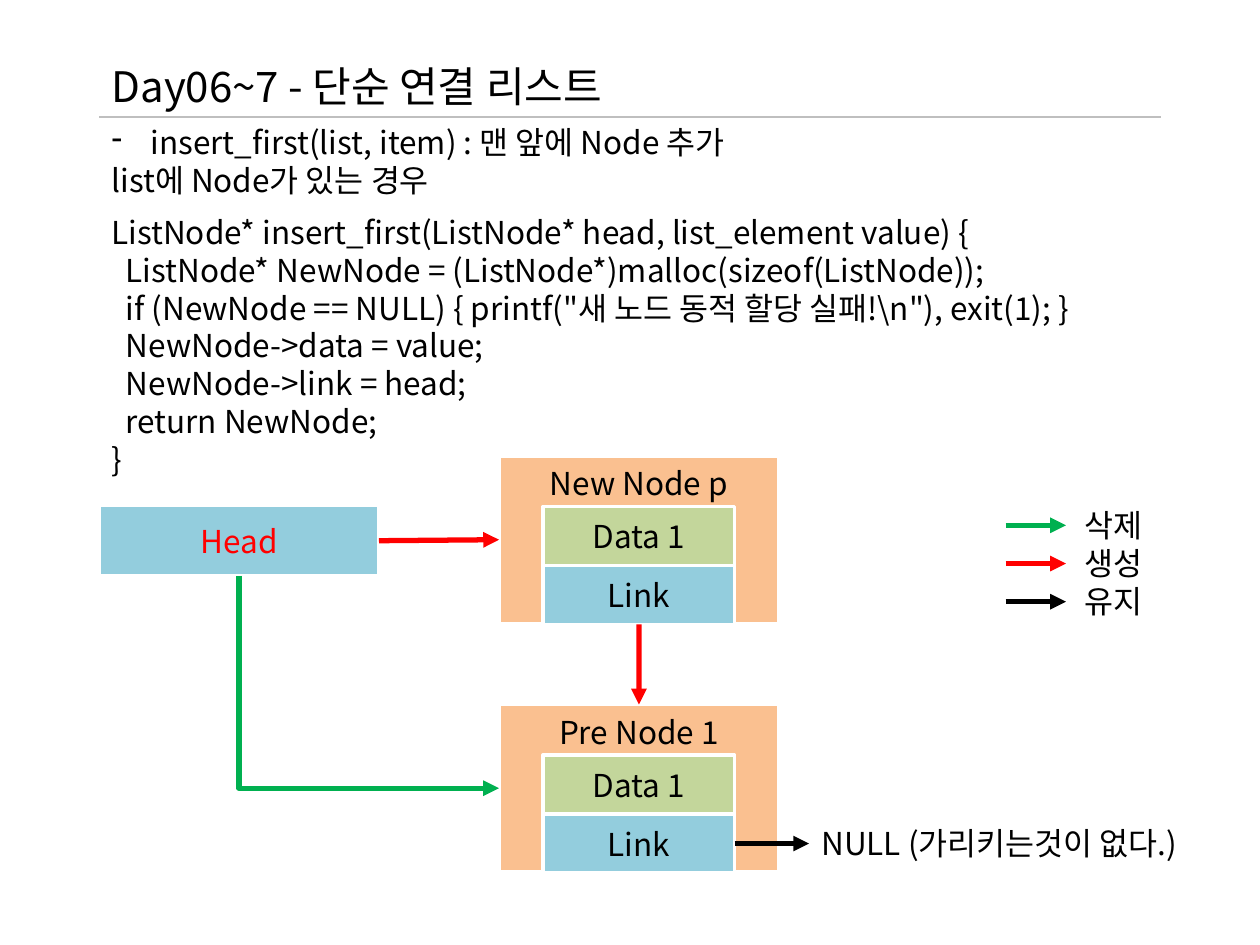
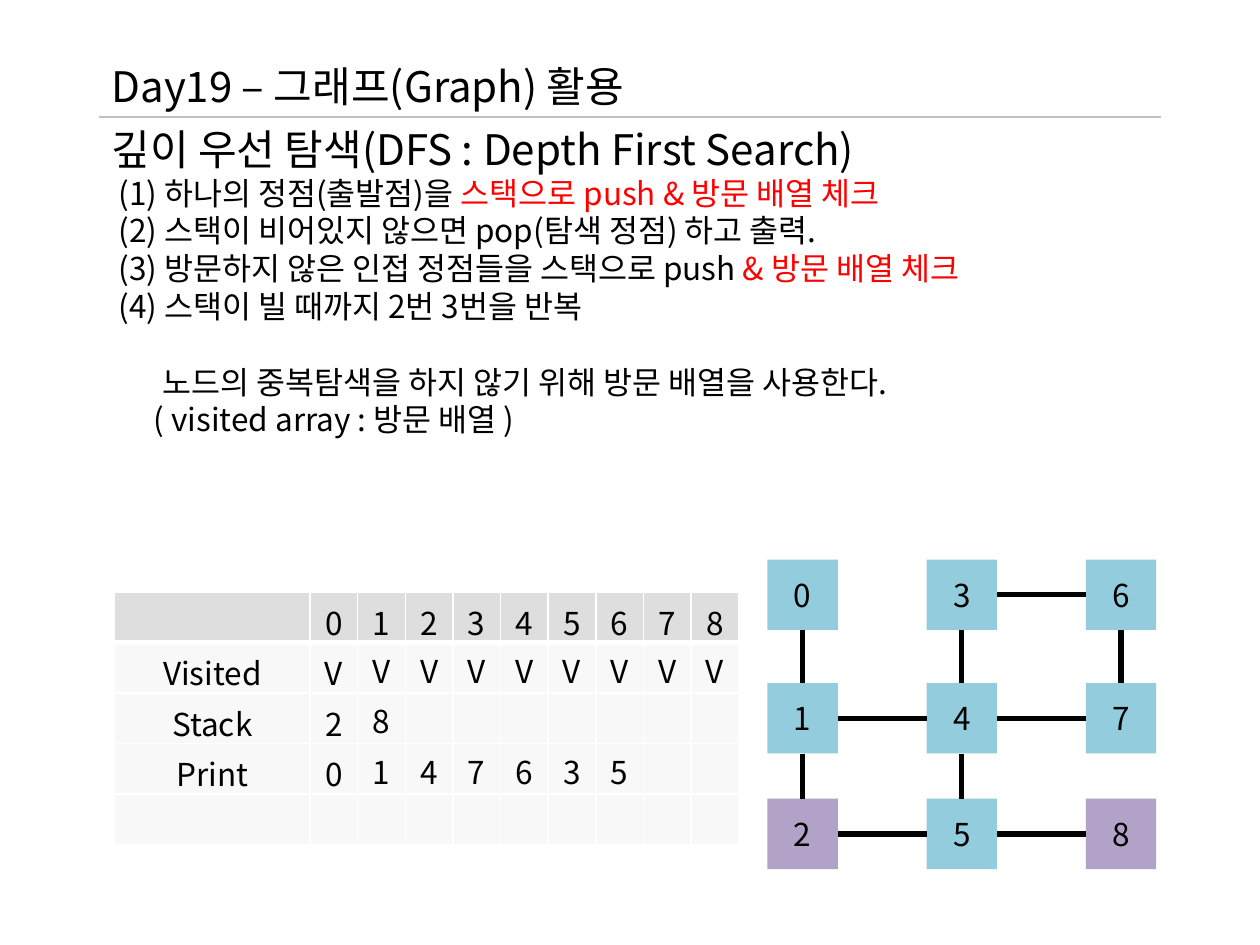
from lxml import etree
from pptx import Presentation
from pptx.dml.color import RGBColor
from pptx.enum import shapes, text
from pptx.oxml import ns
from pptx.util import Cm, Pt

# Shared style
FONT = "Noto Sans CJK KR"
BLACK, WHITE, RED, GREEN = "000000", "FFFFFF", "FF0000", "00B050"
BLUE, ORANGE, LIME, PURPLE = "93CDDD", "FAC090", "C3D69B", "B3A2C7"
RULE, HEADER, BODY = "BFBFBF", "BFBFBF", "F2F2F2"
LEFT, WIDTH, RULE_Y = 2, 21.4, 2.36
TOP_SIDE, LEFT_SIDE, BOTTOM_SIDE, RIGHT_SIDE = range(4)

# Content: linked list
LIST_TITLE = "Day06~7 - 단순 연결 리스트"
LIST_INTRO = ["insert_first(list, item) : 맨 앞에 Node 추가", "list에 Node가 있는 경우"]
CODE = [
    "ListNode* insert_first(ListNode* head, list_element value) {",
    "  ListNode* NewNode = (ListNode*)malloc(sizeof(ListNode));",
    '  if (NewNode == NULL) { printf("새 노드 동적 할당 실패!\\n"), exit(1); }',
    "  NewNode->data = value;",
    "  NewNode->link = head;",
    "  return NewNode;",
    "}",
]
LIST_NODES = [("New Node p", 9.19), ("Pre Node 1", 14.2)]
NODE_PARTS = [("Data 1", LIME), ("Link", BLUE)]
NULL_NOTE = "NULL (가리키는것이 없다.)"
LEGEND = [("삭제", GREEN), ("생성", RED), ("유지", BLACK)]

# Content: graph; each step is black text followed by red text
GRAPH_TITLE = "Day19 – 그래프(Graph) 활용"
DFS_HEADING = "깊이 우선 탐색(DFS : Depth First Search)"
DFS_STEPS = [
    ("(1) 하나의 정점(출발점)을 ", "스택으로 push & 방문 배열 체크"),
    ("(2) 스택이 비어있지 않으면 pop(탐색 정점) 하고 출력.",),
    ("(3) 방문하지 않은 인접 정점들을 스택으로 push", " & 방문 배열 체크"),
    ("(4) 스택이 빌 때까지 2번 3번을 반복",),
]
DFS_NOTES = [
    ("노드의 중복탐색을 하지 않기 위해 방문 배열을 사용한다.", 1.03),
    ("( visited array : 방문 배열 )", 0.85),
]
TRACE = [
    ["", *"012345678"],
    ["Visited", *"VVVVVVVVV"],
    ["Stack", *"28"],
    ["Print", *"0147635"],
    [],
]
VERTEX_COLUMNS, VERTEX_ROWS = (15.47, 18.68, 21.89), (11.28, 13.77, 16.1)
STACKED = {2, 8}
EDGES = [(0, 1), (1, 2), (3, 4), (4, 5), (6, 7), (1, 4), (4, 7), (2, 5), (5, 8), (3, 6)]


def rgb(color):
    return RGBColor.from_string(color)


def sub(parent, tag, **attributes):
    return etree.SubElement(parent, ns.qn(tag), attributes)


def style(paragraph, size=18, colors=(BLACK, RED)):
    for run, color in zip(paragraph.runs, colors):
        run.font.size, run.font.name = Pt(size), FONT
        run.font.color.rgb = rgb(color)
        sub(run._r.get_or_add_rPr(), "a:ea", typeface=FONT)


def indent(paragraph, left, first=0):
    properties = paragraph._p.get_or_add_pPr()
    properties.set("marL", str(Cm(left)))
    properties.set("indent", str(Cm(first)))
    return properties


def add_text(slide, x, y, w, h, lines, size=18, wrap=True):
    """Each line is a string or a (black, red) tuple."""
    frame = slide.shapes.add_textbox(Cm(x), Cm(y), Cm(w), Cm(h)).text_frame
    frame.word_wrap = wrap
    frame.auto_size = text.MSO_AUTO_SIZE.SHAPE_TO_FIT_TEXT
    for i, line in enumerate(lines):
        paragraph = frame.add_paragraph() if i else frame.paragraphs[0]
        for part in (line,) if isinstance(line, str) else line:
            paragraph.add_run().text = part
        style(paragraph, size)
    return frame.paragraphs


def add_box(slide, x, y, w, h, label, fill, color=BLACK, border=True):
    box = slide.shapes.add_shape(shapes.MSO_SHAPE.RECTANGLE, Cm(x), Cm(y), Cm(w), Cm(h))
    box.shadow.inherit = False
    box.fill.solid()
    box.fill.fore_color.rgb = rgb(fill)
    if border:
        box.line.color.rgb, box.line.width = rgb(WHITE), Pt(2)
    else:
        box.line.fill.background()
    frame = box.text_frame
    frame.text = label
    frame.vertical_anchor = text.MSO_ANCHOR.MIDDLE
    frame.paragraphs[0].alignment = text.PP_ALIGN.CENTER
    style(frame.paragraphs[0], colors=[color])
    return box


def add_line(slide, start, end, color=BLACK, width=3, arrow=False):
    line = slide.shapes.add_connector(shapes.MSO_CONNECTOR.STRAIGHT, *start, *end)
    line.line.color.rgb, line.line.width = rgb(color), Pt(width)
    if arrow:
        sub(line.line._get_or_add_ln(), "a:tailEnd", type="triangle")
    sub(line._element.spPr, "a:effectLst")
    return line


def join(slide, first, first_side, second, second_side, **look):
    line = add_line(slide, (0, 0), (0, 0), **look)
    line.begin_connect(first, first_side)
    line.end_connect(second, second_side)


def add_corner(slide, start, end, color):
    """Arrow that runs down from start, then right to end."""
    (x1, y1), (x2, y2) = start, end
    middle_x, middle_y = (x1 + x2) // 2, (y1 + y2) // 2
    half_w, half_h = (x2 - x1) // 2, (y2 - y1) // 2
    line = add_line(slide, (middle_x + half_h, middle_y - half_w),
                    (middle_x - half_h, middle_y + half_w), color, arrow=True)
    properties = line._element.spPr
    properties.find(ns.qn("a:prstGeom")).set("prst", "bentConnector2")
    properties.find(ns.qn("a:xfrm")).set("rot", str(270 * 60000))


def add_page(deck, title):
    slide = deck.slides.add_slide(deck.slide_layouts[6])
    add_text(slide, LEFT, 1.09, WIDTH, 1.27, [title], size=24)
    add_line(slide, (Cm(LEFT), Cm(RULE_Y)), (Cm(LEFT + WIDTH), Cm(RULE_Y)), RULE, 0.75)
    return slide


def add_list_node(slide, name, y):
    node = add_box(slide, 10.06, y, 5.64, 3.38, name, ORANGE)
    node.text_frame.vertical_anchor = text.MSO_ANCHOR.TOP
    node.text_frame.margin_top = Cm(0.17)
    for i, (label, fill) in enumerate(NODE_PARTS):
        link = add_box(slide, 10.95, y + 1.02 + 1.19 * i, 3.86, 1.19, label, fill)
    return node, link


def build_list_page(deck):
    slide = add_page(deck, LIST_TITLE)
    intro = add_text(slide, LEFT, RULE_Y, WIDTH, 1.8, LIST_INTRO)
    sub(indent(intro[0], 0.79, -0.79), "a:buChar", char="-")
    add_text(slide, LEFT, 4.17, WIDTH, 5.64, CODE)

    # Nodes and the arrows between them
    head = add_box(slide, LEFT, 10.19, 5.64, 1.42, "Head", BLUE, RED)
    (new, new_link), (previous, last_link) = [add_list_node(slide, *n) for n in LIST_NODES]
    join(slide, head, RIGHT_SIDE, new, LEFT_SIDE, color=RED, arrow=True)
    join(slide, new_link, BOTTOM_SIDE, previous, TOP_SIDE, color=RED, arrow=True)
    add_corner(slide, (head.left + head.width // 2, head.top + head.height),
               (previous.left, previous.top + previous.height // 2), GREEN)
    link_y = last_link.top + last_link.height // 2
    add_line(slide, (last_link.left + last_link.width, link_y), (Cm(16.31), link_y), arrow=True)
    add_text(slide, 16.31, 16.48, 8.18, 1.02, [NULL_NOTE], wrap=False)

    # Legend
    add_text(slide, 21.62, 10.08, 1.8, 2.57, [label for label, _ in LEGEND], wrap=False)
    for i, (_, color) in enumerate(LEGEND):
        y = Cm(10.59 + 0.77 * i)
        add_line(slide, (Cm(20.27), y), (Cm(21.49), y), color, arrow=True)


def style_cell(cell, fill, bottom_width):
    cell.vertical_anchor = text.MSO_ANCHOR.MIDDLE
    cell.fill.solid()
    cell.fill.fore_color.rgb = rgb(fill)
    properties = cell._tc.get_or_add_tcPr()
    sub(properties.find(".//" + ns.qn("a:srgbClr")), "a:alpha", val="50000")
    for i, side in enumerate("LRTB"):
        edge = etree.Element(ns.qn("a:ln" + side), w=str(Pt(bottom_width if side == "B" else 1)))
        sub(sub(edge, "a:solidFill"), "a:srgbClr", val=WHITE)
        properties.insert(i, edge)


def add_trace(slide):
    count = len(TRACE[0])
    table = slide.shapes.add_table(len(TRACE), count, Cm(2.31), Cm(11.94), Cm(12.6), Cm(4.95)).table
    for c, column in enumerate(table.columns):
        column.width = Cm(0.96 if c else 3.94)
    for r, values in enumerate(TRACE):
        for c in range(count):
            cell = table.cell(r, c)
            style_cell(cell, BODY if r else HEADER, 1 if r else 3)
            if r and c > 1:
                cell.margin_left = cell.margin_right = Cm(0.16)
                cell.margin_top = cell.margin_bottom = Cm(0.08)
            if c < len(values) and values[c]:
                cell.text = values[c]
                cell.text_frame.paragraphs[0].alignment = text.PP_ALIGN.CENTER
                style(cell.text_frame.paragraphs[0])


def build_graph_page(deck):
    slide = add_page(deck, GRAPH_TITLE)
    notes = [note for note, _ in DFS_NOTES]
    heading, *lines = add_text(slide, LEFT, RULE_Y, WIDTH, 7.44, [DFS_HEADING, *DFS_STEPS, *notes])
    style(heading, size=24)
    indents = [0.14] * len(DFS_STEPS) + [left for _, left in DFS_NOTES]
    for line, left in zip(lines, indents):
        indent(line, left)
    lines[len(DFS_STEPS)].space_before = Pt(21.6)
    add_trace(slide)

    # Vertices run down each column, so neighbours below differ by one
    vertices = []
    for x in VERTEX_COLUMNS:
        for y in VERTEX_ROWS:
            number = len(vertices)
            fill = PURPLE if number in STACKED else BLUE
            vertices.append(add_box(slide, x, y, 1.42, 1.42, str(number), fill, border=False))
    for a, b in EDGES:
        sides = (BOTTOM_SIDE, TOP_SIDE) if b - a == 1 else (RIGHT_SIDE, LEFT_SIDE)
        join(slide, vertices[a], sides[0], vertices[b], sides[1])


def main():
    deck = Presentation()
    deck.slide_width, deck.slide_height = Cm(25.4), Cm(19.05)
    build_list_page(deck)
    build_graph_page(deck)
    deck.save("out.pptx")


if __name__ == "__main__":
    main()
